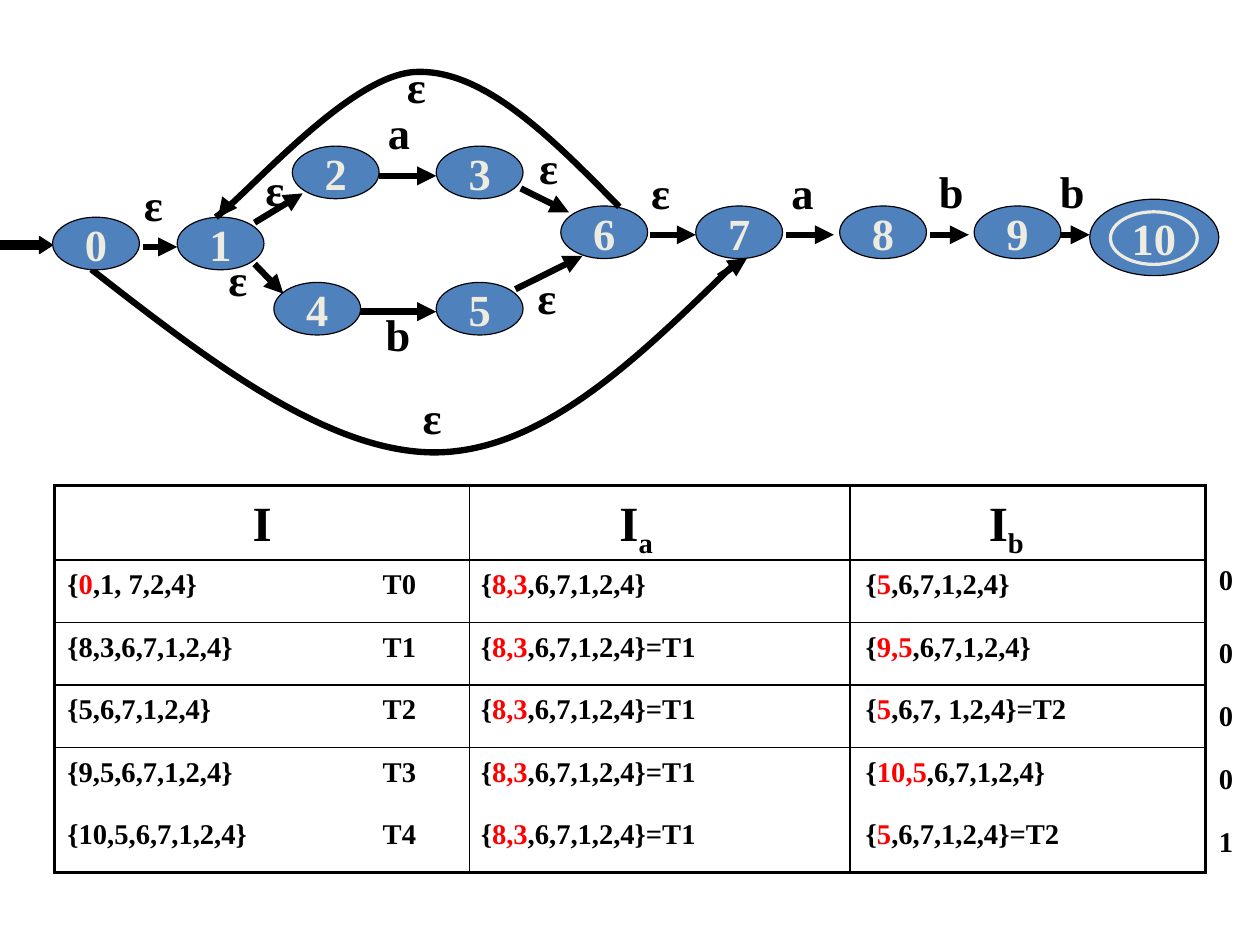
"""Build a slide with an NFA for (a|b)*abb and its subset construction table."""
from dataclasses import dataclass

from lxml.etree import SubElement
from pptx import Presentation
from pptx.dml.color import RGBColor
from pptx.enum.shapes import MSO_CONNECTOR, MSO_SHAPE
from pptx.enum.text import MSO_ANCHOR, PP_ALIGN
from pptx.oxml.ns import qn
from pptx.util import Cm, Pt

BLACK = RGBColor(0x00, 0x00, 0x00)
RED = RGBColor(0xFF, 0x00, 0x00)
BLUE = RGBColor(0x4F, 0x81, 0xBD)
CREAM = RGBColor(0xEE, 0xEC, 0xE1)
FONT = "Times New Roman"
STROKE = 4
NODE_WIDTH, NODE_HEIGHT = 1.93, 1.17
LABEL_WIDTHS = {"ε": 1.5, "a": 1.07, "b": 1.27}


@dataclass
class State:
    name: str
    left: float
    top: float


@dataclass
class Label:
    text: str
    center: float
    top: float


@dataclass
class Arrow:
    x1: float
    y1: float
    x2: float
    y2: float


STATES = [
    State("0", 1.17, 4.83), State("1", 3.94, 4.83), State("2", 6.5, 3.25),
    State("3", 9.7, 3.25), State("4", 6.09, 6.28), State("5", 9.7, 6.28),
    State("6", 12.47, 4.58), State("7", 15.47, 4.58), State("8", 18.67, 4.58),
    State("9", 21.66, 4.58),
]
FINAL_STATE = State("10", 24.69, 4.71)
ARROWS = [
    Arrow(3.18, 5.49, 3.94, 5.49), Arrow(5.66, 4.95, 6.73, 4.3),
    Arrow(5.66, 5.87, 6.3, 6.53), Arrow(8.43, 3.91, 9.7, 3.91),
    Arrow(8, 6.93, 9.7, 6.93), Arrow(11.58, 4.19, 12.65, 4.72),
    Arrow(11.46, 6.43, 12.95, 5.69), Arrow(14.45, 5.22, 15.47, 5.22),
    Arrow(17.48, 5.22, 18.54, 5.22), Arrow(20.68, 5.22, 21.54, 5.22),
    Arrow(23.57, 5.22, 24.23, 5.22), Arrow(15.98, 6.15, 16.61, 5.74),
    Arrow(5.05, 4.57, 4.85, 4.83),
]
LABELS = [
    Label("ε", 9.61, 8.54), Label("ε", 9.26, 1.18), Label("a", 8.87, 2.21),
    Label("b", 8.85, 6.71), Label("a", 17.84, 3.54), Label("b", 21.15, 3.52),
    Label("b", 23.84, 3.52), Label("ε", 3.41, 3.81), Label("ε", 6.11, 3.48),
    Label("ε", 5.29, 5.49), Label("ε", 12.2, 3), Label("ε", 12.16, 5.88),
    Label("ε", 14.69, 3.54),
]
SKIP_CURVE = [(2.03, 5.99), (4.67, 8.05), (7.32, 10.08), (9.7, 10.06),
              (12.09, 10.03), (14.2, 7.95), (16.33, 5.87)]
LOOP_CURVE = [(13.77, 4.6), (12.27, 3.07), (10.77, 1.55), (9.27, 1.6),
              (7.8, 1.63), (5.54, 4.29), (4.8, 4.83)]
HEADERS = [(0, "I", ""), (2, "I", "a"), (3, "I", "b")]
ROWS = [
    ("{|0|,1, 7,2,4}", "T0", "{|8,3|,6,7,1,2,4}", "{|5|,6,7,1,2,4}"),
    ("{8,3,6,7,1,2,4}", "T1", "{|8,3|,6,7,1,2,4}=T1", "{|9,5|,6,7,1,2,4}"),
    ("{5,6,7,1,2,4}", "T2", "{|8,3|,6,7,1,2,4}=T1", "{|5|,6,7, 1,2,4}=T2"),
    ("{9,5,6,7,1,2,4}", "T3", "{|8,3|,6,7,1,2,4}=T1", "{|10,5|,6,7,1,2,4}"),
    ("{10,5,6,7,1,2,4}", "T4", "{|8,3|,6,7,1,2,4}=T1", "{|5|,6,7,1,2,4}=T2"),
]
COLUMN_WIDTHS = (7.01, 2.21, 8.46, 7.9)
COLUMN_MARGINS = (0.28, 0.28, 0.25, 0.35)
HEADER_HEIGHT, ROW_HEIGHT = 1.6, 1.39
VERTICAL_RULES = (2.25, 0, 1, 1, 2.25)
HORIZONTAL_RULES = (2.25, 1, 1, 1, 1, 0, 2.25)
FLAGS = [("0", 12.37), ("0", 14), ("0", 15.4), ("0", 16.8), ("1", 18.2)]


def add_run(paragraph, text: str, size: float, color: RGBColor = BLACK):
    run = paragraph.add_run()
    run.text = text
    run.font.name, run.font.size, run.font.bold = FONT, Pt(size), True
    run.font.color.rgb = color
    return run


def add_text(slide, text: str, left: float, top: float, width: float,
             height: float, size: float, alignment: PP_ALIGN) -> None:
    box = slide.shapes.add_textbox(Cm(left), Cm(top), Cm(width), Cm(height))
    box.text_frame.word_wrap = True
    paragraph = box.text_frame.paragraphs[0]
    paragraph.alignment = alignment
    add_run(paragraph, text, size)


def add_filled_shape(slide, kind: MSO_SHAPE, left: float, top: float, width: float, height: float,
                     fill: RGBColor, line: RGBColor = BLACK, line_width: float = 0.75):
    shape = slide.shapes.add_shape(kind, Cm(left), Cm(top), Cm(width), Cm(height))
    shape.shadow.inherit = False
    shape.fill.solid()
    shape.fill.fore_color.rgb = fill
    shape.line.color.rgb = line
    shape.line.width = Pt(line_width)
    return shape


def add_state(slide, state: State, line: RGBColor = BLACK, line_width: float = 0.75) -> None:
    shape = add_filled_shape(slide, MSO_SHAPE.OVAL, state.left, state.top,
                             NODE_WIDTH, NODE_HEIGHT, BLUE, line, line_width)
    frame = shape.text_frame
    frame.word_wrap = False
    frame.vertical_anchor = MSO_ANCHOR.MIDDLE
    frame.paragraphs[0].alignment = PP_ALIGN.CENTER
    add_run(frame.paragraphs[0], state.name, 28, CREAM)


def add_arrow(slide, arrow: Arrow) -> None:
    connector = slide.shapes.add_connector(
        MSO_CONNECTOR.STRAIGHT, Cm(arrow.x1), Cm(arrow.y1), Cm(arrow.x2), Cm(arrow.y2))
    connector.line.color.rgb = BLACK
    connector.line.width = Pt(STROKE)
    SubElement(connector.line._get_or_add_ln(), qn("a:tailEnd"), type="triangle")
    SubElement(connector._element.spPr, qn("a:effectLst"))


def add_curve(slide, points: list[tuple[float, float]]) -> None:
    corners = [(Cm(x), Cm(y)) for x, y in points]
    builder = slide.shapes.build_freeform(*corners[0])
    builder.add_line_segments(corners[1:], close=False)
    shape = builder.convert_to_shape()
    shape.shadow.inherit = False
    shape.fill.background()
    shape.line.color.rgb = BLACK
    shape.line.width = Pt(STROKE)
    outline = next(shape._element.iter(qn("a:path")))
    segments = outline.findall(qn("a:lnTo"))
    for start in range(0, len(segments), 3):
        bezier = SubElement(outline, qn("a:cubicBezTo"))
        for segment in segments[start:start + 3]:
            bezier.append(segment[0])
            outline.remove(segment)


def set_borders(cell, row: int, column: int) -> None:
    properties = cell._tc.get_or_add_tcPr()
    widths = {"a:lnL": VERTICAL_RULES[column], "a:lnR": VERTICAL_RULES[column + 1],
              "a:lnT": HORIZONTAL_RULES[row], "a:lnB": HORIZONTAL_RULES[row + 1]}
    for tag, width in widths.items():
        border = SubElement(properties, qn(tag), w=str(Pt(width)))
        if width:
            fill = SubElement(border, qn("a:solidFill"))
            SubElement(fill, qn("a:srgbClr"), val=str(BLACK))
        else:
            SubElement(border, qn("a:noFill"))


def add_subset_table(slide) -> None:
    height = HEADER_HEIGHT + ROW_HEIGHT * len(ROWS)
    table = slide.shapes.add_table(len(ROWS) + 1, len(COLUMN_WIDTHS), Cm(1.22), Cm(10.8),
                                   Cm(sum(COLUMN_WIDTHS)), Cm(height)).table
    table.first_row = table.horz_banding = False
    for column, width in zip(table.columns, COLUMN_WIDTHS):
        column.width = Cm(width)
    for index, row in enumerate(table.rows):
        row.height = Cm(ROW_HEIGHT if index else HEADER_HEIGHT)
        for column, cell in enumerate(row.cells):
            set_borders(cell, index, column)
            cell.fill.background()
            cell.margin_left = cell.margin_right = Cm(COLUMN_MARGINS[column])
            cell.margin_top, cell.margin_bottom = Cm(0.2 if index else 0.27), Cm(0)
            if index:
                paragraph = cell.text_frame.paragraphs[0]
                for part, text in enumerate(ROWS[index - 1][column].split("|")):
                    add_run(paragraph, text, 18, RED if part % 2 else BLACK)
    table.cell(0, 0).merge(table.cell(0, 1))
    for column, name, subscript in HEADERS:
        cell = table.cell(0, column)
        paragraph = cell.text_frame.paragraphs[0]
        paragraph.alignment = PP_ALIGN.CENTER
        add_run(paragraph, name, 31)
        if subscript:
            cell.margin_right = Cm(1.3)
            run = add_run(paragraph, subscript, 31)
            run.font._element.set("baseline", "-25000")


def main() -> None:
    presentation = Presentation()
    presentation.slide_width = Cm(56.03) // 2
    presentation.slide_height = Cm(20.99)
    slide = presentation.slides.add_slide(presentation.slide_layouts[6])
    add_subset_table(slide)
    for flag, top in FLAGS:
        add_text(slide, flag, 26.85, top, 0.94, 1.02, 18, PP_ALIGN.LEFT)
    add_curve(slide, SKIP_CURVE)
    for state in STATES:
        add_state(slide, state)
    add_curve(slide, LOOP_CURVE)
    for arrow in ARROWS:
        add_arrow(slide, arrow)
    for label in LABELS:
        width = LABEL_WIDTHS[label.text]
        add_text(slide, label.text, label.center - width / 2, label.top, width, 1.45,
                 28, PP_ALIGN.CENTER)
    entry = add_filled_shape(slide, MSO_SHAPE.RIGHT_ARROW, 0, 5.26, 1.17, 0.38, BLACK)
    entry.adjustments[0], entry.adjustments[1] = 0.5, 0.77
    add_filled_shape(slide, MSO_SHAPE.OVAL, 24.23, 4.43, 2.87, 1.7, BLUE)
    add_state(slide, FINAL_STATE, CREAM, 2)
    presentation.save("out.pptx")


if __name__ == "__main__":
    main()
